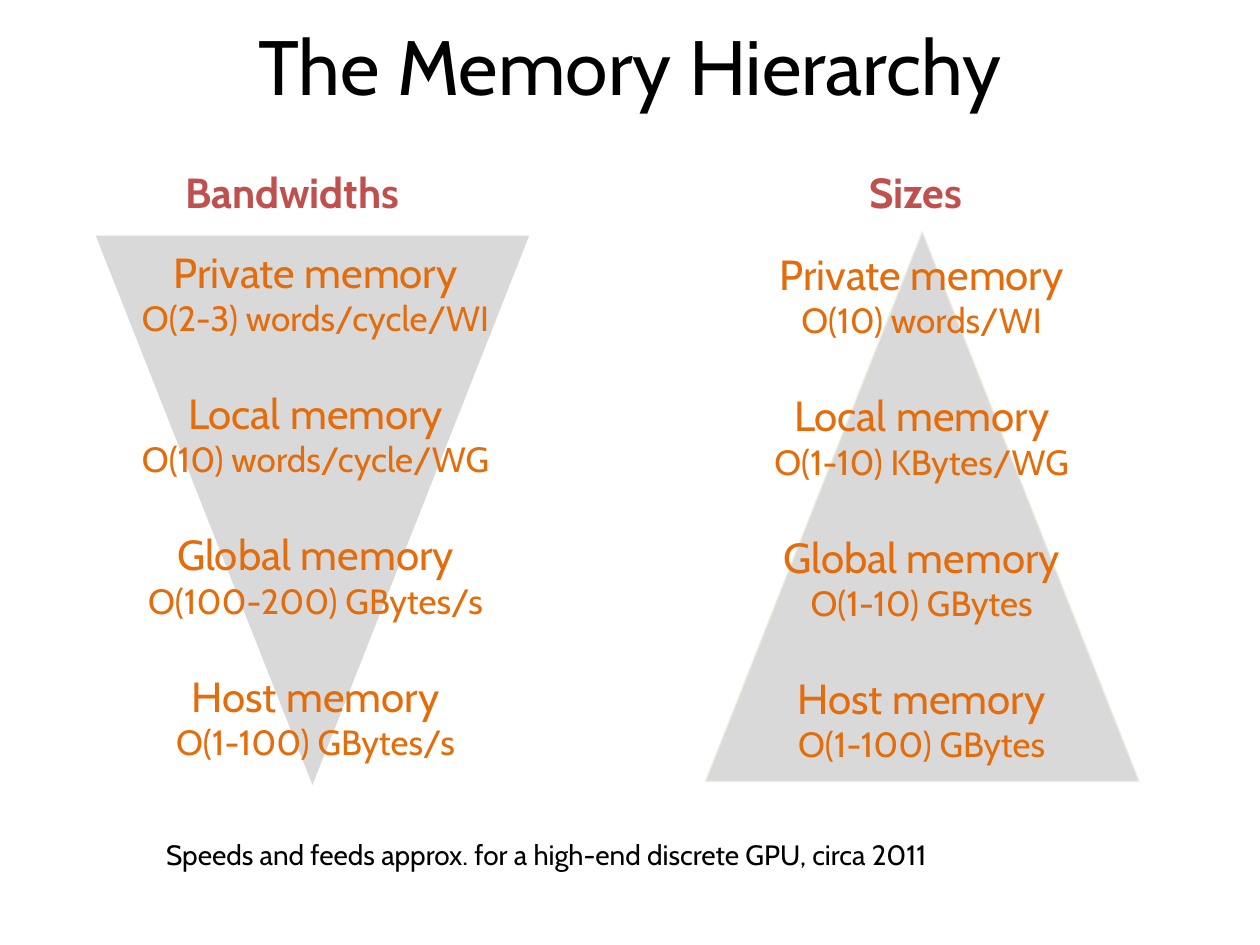
from pptx import Presentation
from pptx.dml.color import RGBColor
from pptx.enum.shapes import MSO_SHAPE
from pptx.enum.text import MSO_ANCHOR, MSO_AUTO_SIZE, PP_ALIGN
from pptx.util import Inches, Pt

TRIANGLE = MSO_SHAPE.ISOSCELES_TRIANGLE
LEFT, CENTER = PP_ALIGN.LEFT, PP_ALIGN.CENTER
MIDDLE, TOP = MSO_ANCHOR.MIDDLE, MSO_ANCHOR.TOP
FIT_SHAPE = MSO_AUTO_SIZE.SHAPE_TO_FIT_TEXT

FONT = "Cabin"
BLACK, RED, ORANGE = "000000", "C0504D", "E46C0A"
GRAY, CREAM = "D9D9D9", "EEECE1"
LINE_SPACING = 0.99
LEVEL_GAP = 28.5  # points between memory levels
TRIANGLE_SIZE = (3.44, 4.36)

# Content
TITLE = "The Memory Hierarchy"
FOOTNOTE = "Speeds and feeds approx. for a high-end discrete GPU, circa 2011"
LEVELS = ["Private memory", "Local memory", "Global memory", "Host memory"]
PYRAMIDS = [
    {
        "heading": "Sizes", "heading_box": (6.8, 1.29, 0.99, 0.5),
        "values": ["O(10) words/WI", "O(1-10) KBytes/WG",
                   "O(1-10) GBytes", "O(1-100) GBytes"],
        "values_box": (5.96, 1.94, 2.71, 4.23),
        "corner": (5.6, 1.84), "rotation": 0, "outline": CREAM,
    },
    {
        "heading": "Bandwidths", "heading_box": (1.37, 1.29, 2.01, 0.5),
        "values": ["O(2-3) words/cycle/WI", "O(10) words/cycle/WG",
                   "O(100-200) GBytes/s", "O(1-100) GBytes/s"],
        "values_box": (0.96, 1.92, 3.09, 4.23),
        "corner": (0.76, 1.87), "rotation": 180, "outline": None,
    },
]


def color(hex_string):
    return RGBColor.from_string(hex_string)


def add_text(slide, box, lines, text_color, align=LEFT, bold=False,
             spacing=LINE_SPACING, wrap=False, anchor=TOP):
    """Add a text box; each line is (text, size, space before) in points."""
    shape = slide.shapes.add_textbox(*map(Inches, box))
    frame = shape.text_frame
    frame.word_wrap = wrap
    frame.vertical_anchor = anchor
    if not wrap:
        frame.auto_size = FIT_SHAPE
    frame.text = "\n".join(text for text, _, _ in lines)
    for paragraph, (_, size, gap) in zip(frame.paragraphs, lines):
        paragraph.alignment = align
        paragraph.line_spacing = spacing
        paragraph.space_before = Pt(gap)
        for run in paragraph.runs:
            run.font.name = FONT
            run.font.size = Pt(size)
            run.font.bold = bold
            run.font.color.rgb = color(text_color)


def add_triangle(slide, corner, rotation, outline):
    shape = slide.shapes.add_shape(
        TRIANGLE, *map(Inches, corner + TRIANGLE_SIZE))
    shape.shadow.inherit = False
    shape.rotation = rotation
    shape.fill.solid()
    shape.fill.fore_color.rgb = color(GRAY)
    if outline:
        shape.line.color.rgb = color(outline)
        shape.line.width = Pt(0.75)
    else:
        shape.line.fill.background()


def level_lines(values):
    lines = []
    for level, value in zip(LEVELS, values):
        lines.append((level, 24, LEVEL_GAP if lines else 0))
        lines.append((value, 20, 0))
    return lines


def main():
    presentation = Presentation()
    presentation.slide_width = Inches(10)
    presentation.slide_height = Inches(7.5)
    slide = presentation.slides.add_slide(presentation.slide_layouts[6])

    # Title
    add_text(slide, (0.5, -0.11, 9, 1.25), [(TITLE, 44, 0)], BLACK,
             align=CENTER, spacing=1.0, wrap=True, anchor=MIDDLE)

    # Triangles with their memory levels and headings
    for pyramid in PYRAMIDS:
        add_triangle(slide, pyramid["corner"], pyramid["rotation"],
                     pyramid["outline"])
        add_text(slide, pyramid["values_box"], level_lines(pyramid["values"]),
                 ORANGE, align=CENTER)
        add_text(slide, pyramid["heading_box"], [(pyramid["heading"], 24, 0)],
                 RED, bold=True)

    # Footnote
    add_text(slide, (1.22, 6.61, 6.81, 0.37), [(FOOTNOTE, 16, 0)], BLACK)

    presentation.save("out.pptx")


if __name__ == "__main__":
    main()
